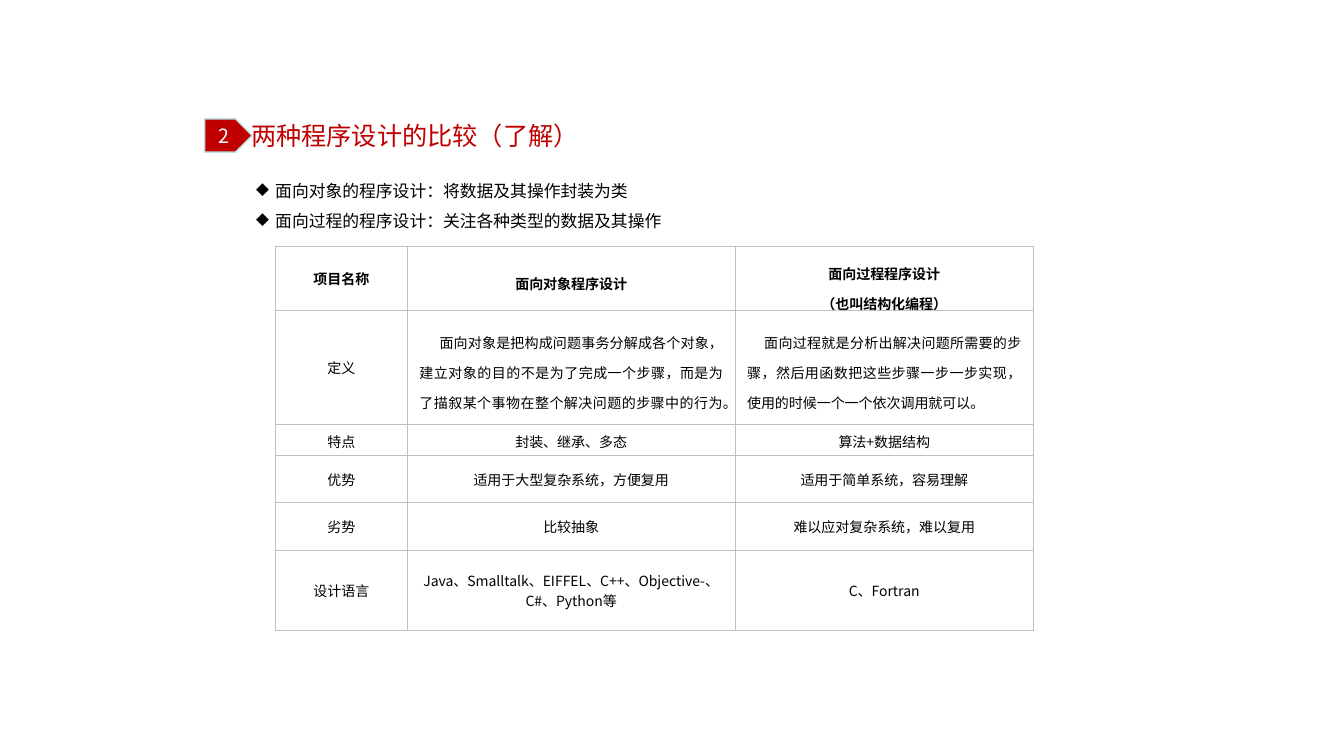
from lxml.etree import SubElement
from pptx import Presentation
from pptx.dml.color import RGBColor
from pptx.enum.shapes import MSO_SHAPE as Preset
from pptx.enum.text import MSO_ANCHOR as Anchor, MSO_AUTO_SIZE as AutoSize, PP_ALIGN as Align
from pptx.oxml.ns import qn
from pptx.util import Inches, Pt

COLORS = {"red": "C00000", "black": "000000", "white": "FFFFFF", "pale": "BBE0E3", "grid": "C0C0C0"}
FONT = "Noto Sans CJK SC"

COLUMN_WIDTHS = [1.31, 3.25, 2.96]
ROW_HEIGHTS = [0.64, 1.13, 0.3, 0.47, 0.47, 0.8]
COMPARISON = [
    ["项目名称", "面向对象程序设计", "面向过程程序设计\n（也叫结构化编程）"],
    ["定义",
     "面向对象是把构成问题事务分解成各个对象，建立对象的目的不是为了完成一个步骤，而是为了描叙某个事物在整个解决问题的步骤中的行为。",
     "面向过程就是分析出解决问题所需要的步骤，然后用函数把这些步骤一步一步实现，使用的时候一个一个依次调用就可以。"],
    ["特点", "封装、继承、多态", "算法+数据结构"],
    ["优势", "适用于大型复杂系统，方便复用", "适用于简单系统，容易理解"],
    ["劣势", "比较抽象", "难以应对复杂系统，难以复用"],
    ["设计语言", "Java、Smalltalk、EIFFEL、C++、Objective-、C#、Python等", "C、Fortran"],
]
DEFINITION_INDENTS = {1: 0.2, 2: 0.17}


class SlideBuilder:
    def __init__(self, page):
        self.page = page

    def color(self, name):
        return RGBColor.from_string(COLORS[name])

    def margins(self, target, side, top):
        target.margin_left = target.margin_right = Inches(side)
        target.margin_top = target.margin_bottom = Inches(top)

    def add_text(self, para, text, size, color="black", bold=False, align=None, spacing=None):
        para.alignment = align
        para.line_spacing = spacing
        span = para.add_run()
        span.text = text
        span.font.size = Pt(size)
        span.font.bold = bold
        span.font.name = FONT
        span.font.color.rgb = self.color(color)
        SubElement(span.font._element, qn("a:ea"), typeface=FONT)

    def indent(self, para, first, left=0):
        properties = para._p.get_or_add_pPr()
        properties.set("marL", str(Inches(left)))
        properties.set("indent", str(Inches(first)))
        return properties

    def text_box(self, left, top, width, height, lines, size, color, inset=0, bullet=None, spacing=None):
        box = self.page.shapes.add_textbox(Inches(left), Inches(top), Inches(width), Inches(height))
        frame = box.text_frame
        frame.word_wrap = False
        frame.auto_size = AutoSize.SHAPE_TO_FIT_TEXT
        self.margins(frame, inset, inset)
        for index, line in enumerate(lines):
            para = frame.add_paragraph() if index else frame.paragraphs[0]
            self.add_text(para, line, size, color, spacing=spacing)
            if bullet:
                SubElement(self.indent(para, -0.19, 0.19), qn("a:buChar"), char=bullet)

    def badge(self, left, top, width, height, label):
        badge = self.page.shapes.add_shape(
            Preset.PENTAGON, Inches(left), Inches(top), Inches(width), Inches(height))
        badge.shadow.inherit = False
        badge.fill.solid()
        badge.fill.fore_color.rgb = self.color("red")
        badge.line.color.rgb = self.color("pale")
        badge.line.width = Pt(1)
        frame = badge.text_frame
        frame.vertical_anchor = Anchor.MIDDLE
        self.margins(frame, 0.05, 0.05)
        self.add_text(frame.paragraphs[0], label, 14, "white", align=Align.CENTER)

    def borders(self, cell):
        properties = cell._tc.get_or_add_tcPr()
        for side in ("lnL", "lnR", "lnT", "lnB"):
            line = SubElement(properties, qn(f"a:{side}"), w=str(Pt(0.75)))
            fill = SubElement(line, qn("a:solidFill"))
            SubElement(fill, qn("a:srgbClr"), val=COLORS["grid"])

    def cell(self, cell, text, bold, align, spacing, first_indent):
        self.borders(cell)
        cell.fill.solid()
        cell.fill.fore_color.rgb = self.color("white")
        cell.vertical_anchor = Anchor.MIDDLE
        self.margins(cell, 0.12, 0.07)
        frame = cell.text_frame
        for index, line in enumerate(text.split("\n")):
            para = frame.add_paragraph() if index else frame.paragraphs[0]
            self.add_text(para, line, 10, bold=bold, align=align, spacing=spacing)
            if first_indent:
                self.indent(para, first_indent)

    def table(self, left, top, rows, widths, heights):
        table = self.page.shapes.add_table(
            len(rows), len(widths), Inches(left), Inches(top),
            Inches(sum(widths)), Inches(sum(heights))).table
        table.first_row = table.horz_banding = False
        for column, width in zip(table.columns, widths):
            column.width = Inches(width)
        for row, height in zip(table.rows, heights):
            row.height = Inches(height)
        for r, row in enumerate(rows):
            for c, text in enumerate(row):
                definition = r == 1 and c > 0
                self.cell(table.cell(r, c), text, bold=r == 0,
                          align=Align.JUSTIFY if definition else Align.CENTER,
                          spacing=1.5 if r < 2 and c > 0 else None,
                          first_indent=DEFINITION_INDENTS[c] if definition else 0)


def main():
    deck = Presentation()
    deck.slide_width, deck.slide_height = Inches(13.33), Inches(7.5)
    builder = SlideBuilder(deck.slides.add_slide(deck.slide_layouts[6]))
    builder.text_box(2.49, 1.64, 4.16, 0.71,
                     ["面向对象的程序设计：将数据及其操作封装为类",
                      "面向过程的程序设计：关注各种类型的数据及其操作"],
                     12, "black", inset=0.05, bullet="◆", spacing=1.5)
    builder.table(2.73, 2.44, COMPARISON, COLUMN_WIDTHS, ROW_HEIGHTS)
    builder.text_box(2.49, 1.19, 3.25, 0.3, ["两种程序设计的比较（了解）"], 18, "red")
    builder.badge(2.03, 1.18, 0.47, 0.33, "2")
    deck.save("out.pptx")


if __name__ == "__main__":
    main()
